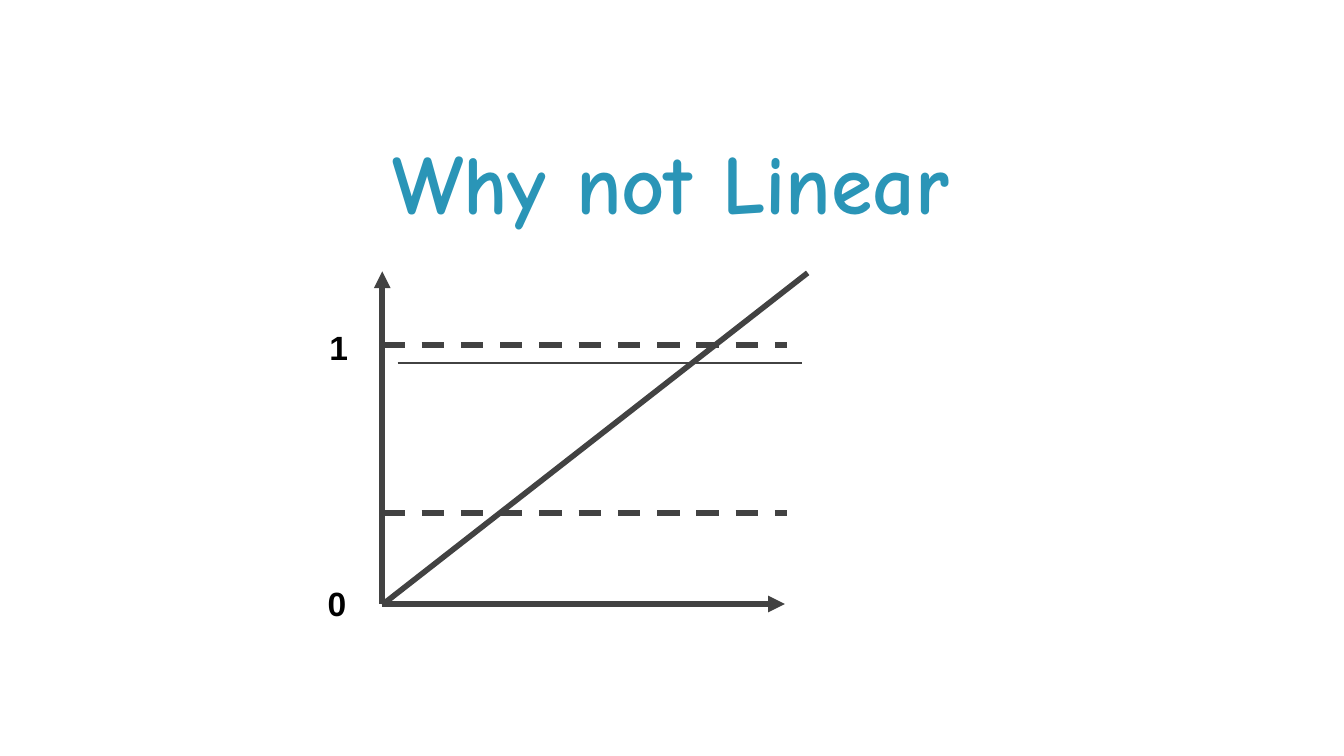
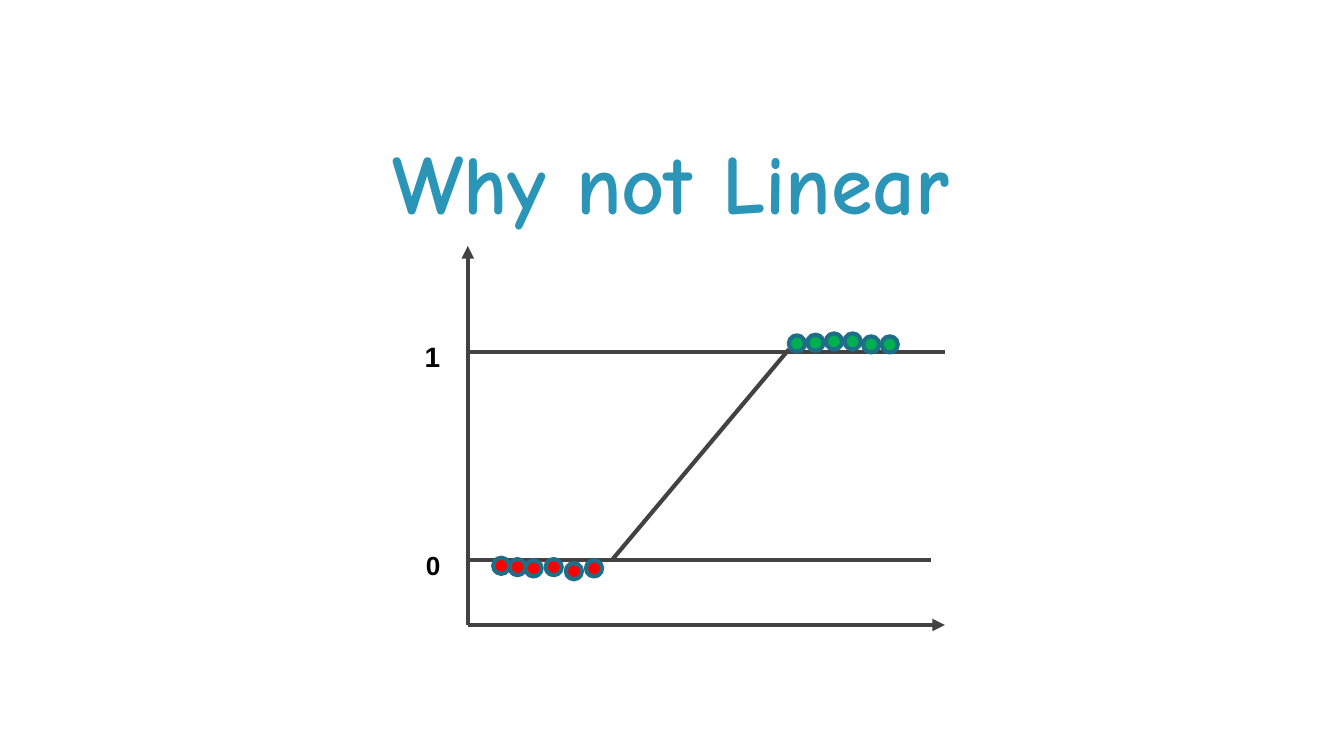
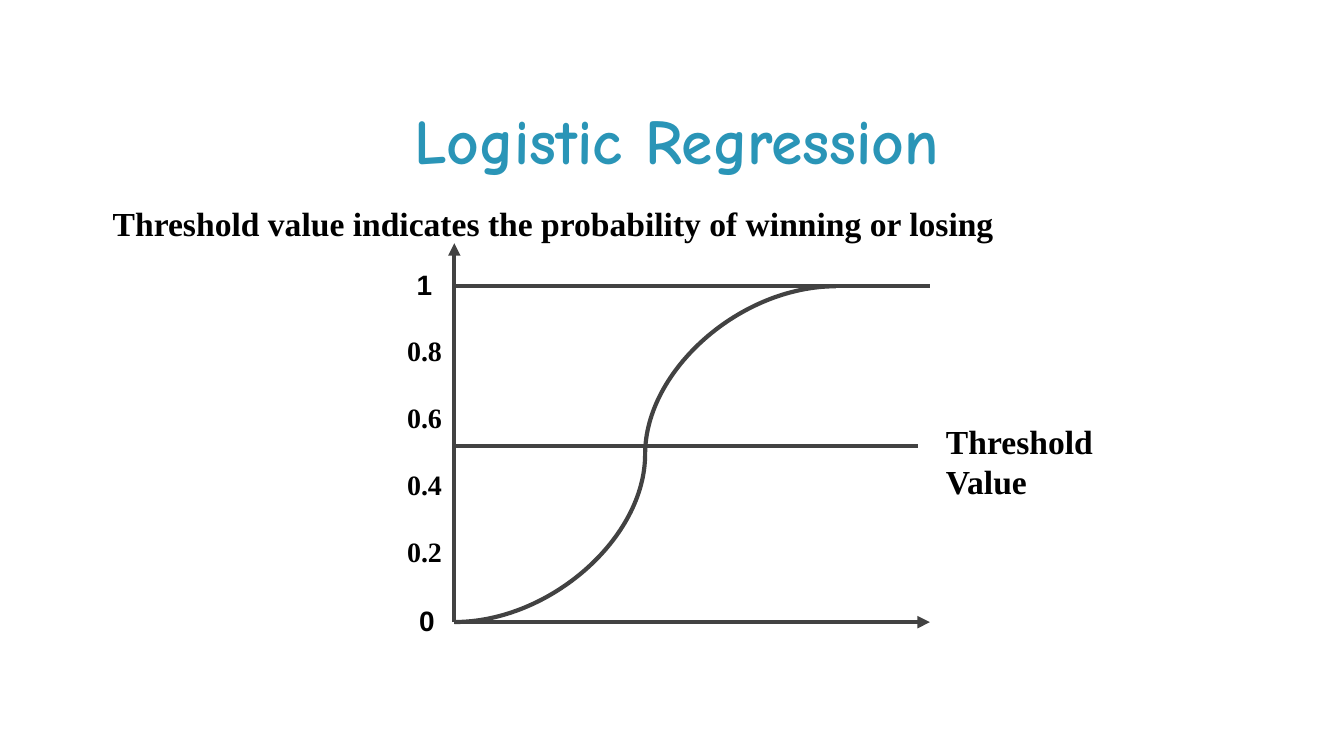
import pptx
import pptx.util
import pptx.dml.color
import pptx.enum.dml
import pptx.enum.shapes
import pptx.enum.text
import pptx.oxml
import pptx.oxml.ns

Pt = pptx.util.Pt
RGB = pptx.dml.color.RGBColor
Anchor = pptx.enum.text.MSO_ANCHOR
Align = pptx.enum.text.PP_ALIGN
Link = pptx.enum.shapes.MSO_CONNECTOR
Shape = pptx.enum.shapes.MSO_SHAPE
Dash = pptx.enum.dml.MSO_LINE.DASH

TEAL = RGB(0x2A, 0x95, 0xB7)
RIM = RGB(0x1F, 0x6E, 0x87)
GRAY = RGB(0x42, 0x42, 0x42)
BLACK = RGB(0, 0, 0)
RED = RGB(0xFF, 0, 0)
GREEN = RGB(0, 0xB0, 0x50)
HEAD = "Comic Neue"
SANS = "Arial"
SERIF = "Times New Roman"


class Deck:
    def __init__(self):
        self.prs = pptx.Presentation()
        self.prs.slide_width = Pt(720)
        self.prs.slide_height = Pt(405)
        self.slide = None
        self.width = 2.25

    def page(self, width):
        self.slide = self.prs.slides.add_slide(self.prs.slide_layouts[6])
        self.width = width

    def text(self, box, lines, size, font=SANS, color=BLACK, pad=(5, 2.8),
             align=Align.LEFT, anchor=Anchor.TOP, lead=1.2, gap=0):
        frame = self.slide.shapes.add_textbox(*map(Pt, box)).text_frame
        frame.word_wrap = True
        frame.vertical_anchor = anchor
        frame.margin_left = frame.margin_right = Pt(pad[0])
        frame.margin_top = frame.margin_bottom = Pt(pad[1])
        for i, line in enumerate(lines):
            para = frame.add_paragraph() if i else frame.paragraphs[0]
            para.alignment = align
            if lead:
                para.line_spacing = Pt(size * lead)
            para.space_after = Pt(gap)
            run = para.add_run()
            run.text = line
            run.font.size = Pt(size)
            run.font.name = font
            run.font.bold = True
            run.font.color.rgb = color

    def title(self, box, words, size):
        self.text(box, [words], size, HEAD, TEAL, (7.2, 7.2), Align.CENTER,
                  lead=None)

    def line(self, start, end, width=None, dash=None, arrow=False,
             kind=Link.STRAIGHT):
        link = self.slide.shapes.add_connector(
            kind, *map(Pt, (*start, *end)))
        link.line.color.rgb = GRAY
        link.line.width = Pt(width or self.width)
        if dash:
            link.line.dash_style = dash
        props = link._element.spPr
        if arrow:
            tip = pptx.oxml.parse_xml(
                "<a:tailEnd %s type='triangle'/>" % pptx.oxml.ns.nsdecls("a"))
            link.line._get_or_add_ln().append(tip)
        props.append(pptx.oxml.parse_xml(
            "<a:effectLst %s/>" % pptx.oxml.ns.nsdecls("a")))

    def level(self, left, right, y, **style):
        self.line((left, y), (right, y), **style)

    def axes(self, left, base, right, top):
        self.level(left, right, base, arrow=True)
        self.line((left, base), (left, top), arrow=True)

    def dots(self, spots, fill):
        for x, y in spots:
            dot = self.slide.shapes.add_shape(
                Shape.OVAL, Pt(x), Pt(y), Pt(8.64), Pt(8.64))
            dot.shadow.inherit = False
            dot.fill.solid()
            dot.fill.fore_color.rgb = fill
            dot.line.color.rgb = RIM
            dot.line.width = Pt(2.25)


def line_fit(deck):
    deck.page(3)
    deck.title((82.8, 62.6, 553, 59), "Why not Linear", 45)
    deck.axes(204.8, 323.6, 420.5, 145.4)
    for y in (185, 275):
        deck.level(204.8, 421.5, y, dash=Dash.DASH)
    deck.line((204.8, 324), (432.7, 146.2))
    deck.level(213.1, 429.8, 194.4, width=0.75)
    deck.text((171.4, 172.1, 18, 27.4), ["1"], 18)
    deck.text((170.6, 309.6, 20.9, 27.4), ["0"], 18)


def step_fit(deck):
    deck.page(2.25)
    deck.title((82.8, 62.6, 553, 59), "Why not Linear", 45)
    deck.level(250.6, 499, 300.2)
    deck.level(250.6, 506.2, 188.6)
    deck.dots([(264.2, 298.8), (272.9, 299.5), (281.5, 300.2),
               (292.3, 299.5), (303.1, 301.7), (313.9, 300.2)], RED)
    tops = (179.7, 179.3, 178.6, 178.6, 180.2, 180.2)
    deck.dots([(422.6 + 9.94 * i, y) for i, y in enumerate(tops)], GREEN)
    deck.axes(250.6, 334.8, 506.2, 131.8)
    deck.text((222.5, 179.3, 16.6, 23.8), ["1"], 15)
    deck.text((223.2, 291.6, 16.6, 22.3), ["0"], 14)
    deck.line((328.3, 299.5), (422.6, 187.2))


def curve_fit(deck):
    left, base, one = 243.4, 333.3, 153.4
    deck.page(2.25)
    deck.title((65.5, 46.8, 594, 41.8), "Logistic Regression", 34)
    deck.level(left, 491.8, 239)
    deck.level(left, 498.2, one)
    deck.line((left, base), (447.8, one), kind=Link.CURVE)
    deck.axes(left, base, 498.2, 130.3)
    deck.text((218.2, 140.4, 16.6, 23.8), ["1"], 15)
    deck.text((219.6, 320.4, 16.6, 23.8), ["0"], 15)
    deck.text((55.4, 84.2, 617.8, 49),
              ["Threshold value indicates the probability of winning or losing"],
              18, SERIF, anchor=Anchor.BOTTOM)
    deck.text((213.1, 175.7, 41, 132.5), ["0.8", "0.6", "0.4", "0.2"],
              15, SERIF, gap=18)
    deck.text((501.8, 222.5, 101.5, 49), ["Threshold Value"], 18, SERIF)


def main():
    deck = Deck()
    line_fit(deck)
    step_fit(deck)
    curve_fit(deck)
    deck.prs.save("out.pptx")


if __name__ == "__main__":
    main()
